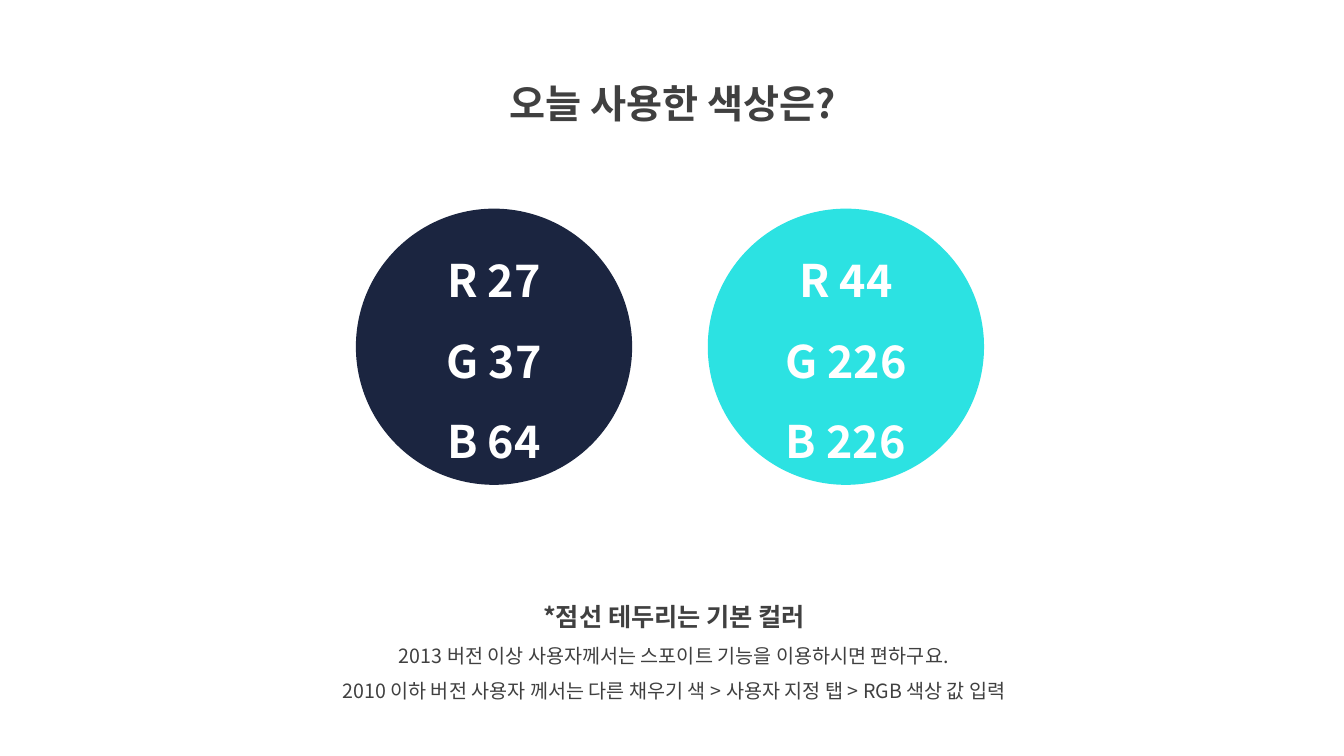
from dataclasses import dataclass

from lxml.etree import SubElement
from pptx import Presentation
from pptx.dml.color import RGBColor
from pptx.enum.shapes import MSO_SHAPE
from pptx.enum.text import MSO_ANCHOR, MSO_AUTO_SIZE, PP_ALIGN
from pptx.oxml.ns import qn
from pptx.slide import Slide
from pptx.text.text import TextFrame
from pptx.util import Inches, Pt


@dataclass(frozen=True)
class Theme:
    """Colours, font and type sizes of the slide."""
    font: str = "Noto Sans CJK KR"
    ink: RGBColor = RGBColor(64, 64, 64)
    white: RGBColor = RGBColor(255, 255, 255)
    title_size: int = 28
    swatch_size: int = 32
    heading_size: int = 18
    note_size: int = 14
    line_spacing: float = 1.5


@dataclass(frozen=True)
class Line:
    """One paragraph of centred text."""
    text: str
    size: int
    color: RGBColor
    bold: bool = True


@dataclass(frozen=True)
class TextBlock:
    """A text box with its place in inches."""
    left: float
    top: float
    width: float
    height: float
    lines: tuple[Line, ...]


@dataclass(frozen=True)
class Swatch:
    """A colour circle labelled with its own channel values."""
    red: int
    green: int
    blue: int


THEME = Theme()
SWATCHES = (Swatch(27, 37, 64), Swatch(44, 226, 226))
SWATCH_LEFT, SWATCH_TOP = 3.53, 2.07
SWATCH_DIAMETER, SWATCH_PITCH = 2.74, 3.49
TEXT_BLOCKS = (
    TextBlock(4.36, 0.5, 4.63, 0.72, (
        Line("오늘 사용한 색상은?", THEME.title_size, THEME.ink),
    )),
    TextBlock(2.69, 5.77, 7.99, 1.26, (
        Line("*점선 테두리는 기본 컬러", THEME.heading_size, THEME.ink),
        Line("2013 버전 이상 사용자께서는 스포이트 기능을 이용하시면 편하구요.",
             THEME.note_size, THEME.ink, False),
        Line("2010 이하 버전 사용자 께서는 다른 채우기 색 > 사용자 지정 탭 > RGB 색상 값 입력",
             THEME.note_size, THEME.ink, False),
    )),
)


def write_lines(frame: TextFrame, lines: tuple[Line, ...]) -> None:
    """Fill a text frame with centred paragraphs."""
    frame.word_wrap = True
    for index, line in enumerate(lines):
        paragraph = frame.add_paragraph() if index else frame.paragraphs[0]
        paragraph.text = line.text
        paragraph.alignment = PP_ALIGN.CENTER
        paragraph.line_spacing = THEME.line_spacing
        font = paragraph.font
        font.name = THEME.font
        font.size = Pt(line.size)
        font.bold = line.bold
        font.color.rgb = line.color
        properties = paragraph._p.find(f"{qn('a:pPr')}/{qn('a:defRPr')}")
        SubElement(properties, qn("a:ea"), typeface=THEME.font)


def add_text_block(slide: Slide, block: TextBlock) -> None:
    """Add a text box that grows with its text."""
    box = slide.shapes.add_textbox(
        Inches(block.left), Inches(block.top), Inches(block.width), Inches(block.height))
    write_lines(box.text_frame, block.lines)
    box.text_frame.auto_size = MSO_AUTO_SIZE.SHAPE_TO_FIT_TEXT


def add_swatch(slide: Slide, swatch: Swatch, left: float) -> None:
    """Add a circle filled with the colour that it names."""
    diameter = Inches(SWATCH_DIAMETER)
    circle = slide.shapes.add_shape(
        MSO_SHAPE.OVAL, Inches(left), Inches(SWATCH_TOP), diameter, diameter)
    circle.shadow.inherit = False
    circle.fill.solid()
    circle.fill.fore_color.rgb = RGBColor(swatch.red, swatch.green, swatch.blue)
    circle.line.fill.background()
    circle.text_frame.vertical_anchor = MSO_ANCHOR.MIDDLE
    channels = (("R", swatch.red), ("G", swatch.green), ("B", swatch.blue))
    write_lines(circle.text_frame, tuple(
        Line(f"{name} {value}", THEME.swatch_size, THEME.white) for name, value in channels))


def main() -> None:
    """Build and save the slide."""
    presentation = Presentation()
    presentation.slide_width = Inches(13.33)
    presentation.slide_height = Inches(7.5)
    slide = presentation.slides.add_slide(presentation.slide_layouts[6])
    for block in TEXT_BLOCKS:
        add_text_block(slide, block)
    for index, swatch in enumerate(SWATCHES):
        add_swatch(slide, swatch, SWATCH_LEFT + index * SWATCH_PITCH)
    presentation.save("out.pptx")


if __name__ == "__main__":
    main()
